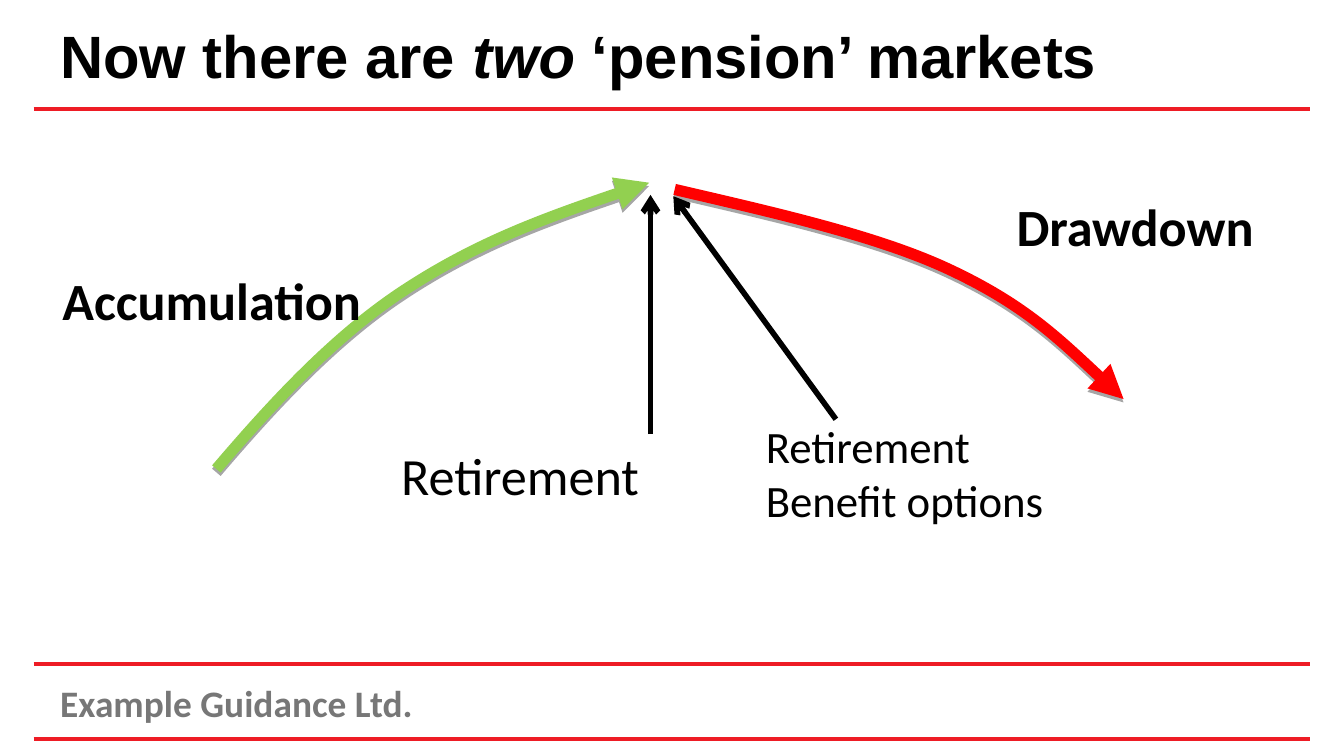
from lxml.etree import SubElement as Sub
from pptx import Presentation
from pptx.dml.color import RGBColor
from pptx.enum.shapes import MSO_CONNECTOR as Conn
from pptx.enum.text import MSO_ANCHOR as Anchor, PP_ALIGN as Align
from pptx.oxml.ns import qn
from pptx.util import Inches, Pt

WIDE = 10
HIGH = WIDE * 9 / 16
EDGE = 0.25
RED, BLACK, GREY = "EE1C25", "000000", "777777"


def paint(code):
    return RGBColor.from_string(code)


def style(line, color, width, head=None):
    line.color.rgb = paint(color)
    line.width = Pt(width)
    if head:
        Sub(line._get_or_add_ln(), qn("a:tailEnd"), type=head)


def rule(slide, start, end, color, width, head=None):
    link = slide.shapes.add_connector(
        Conn.STRAIGHT, *[Inches(v) for v in (*start, *end)])
    style(link.line, color, width, head)
    Sub(link._element.spPr, qn("a:effectLst"))


def label(slide, box, rows, size, font="Calibri", color=BLACK, bold=False,
          align=Align.LEFT, anchor=Anchor.TOP, wrap=True):
    """Each row is a list of (text, italic) runs."""
    frame = slide.shapes.add_textbox(*[Inches(v) for v in box]).text_frame
    frame.word_wrap = wrap
    frame.vertical_anchor = anchor
    for i, row in enumerate(rows):
        para = frame.paragraphs[0] if i == 0 else frame.add_paragraph()
        para.alignment = align
        para.font.name, para.font.size = font, Pt(size)
        para.font.bold, para.font.color.rgb = bold, paint(color)
        for text, slant in row:
            run = para.add_run()
            run.text = text
            if slant:
                run.font.italic = True


def curve(slide, box, points, color):
    """Draw joined cubic curves; points are shares of the box."""
    left, top, width, height = box
    spots = [(Inches(left + x * width), Inches(top + y * height))
             for x, y in points]
    build = slide.shapes.build_freeform(*spots[0])
    build.add_line_segments(spots[1:], close=False)
    shape = build.convert_to_shape()
    shape.fill.background()
    style(shape.line, color, 6, "triangle")

    # Every three line points become one cubic segment
    props = shape._element.spPr
    track = next(props.iter(qn("a:path")))
    steps = track.findall(qn("a:lnTo"))
    for i in range(0, len(steps), 3):
        cubic = Sub(track, qn("a:cubicBezTo"))
        for step in steps[i:i + 3]:
            cubic.append(step[0])
            track.remove(step)

    # Soft drop below the arc
    shade = Sub(Sub(props, qn("a:effectLst")), qn("a:outerShdw"), blurRad="0",
                dist=str(Pt(1.8)), dir="5400000", rotWithShape="0")
    Sub(Sub(shade, qn("a:srgbClr"), val=BLACK), qn("a:alpha"), val="35000")


def header(slide, box):
    left, top, width, height = box
    label(slide, (left + 0.1, top + 0.12, width - 0.5, 0.57),
          [[("Now there are ", False), ("two", True),
            (" ‘pension’ markets", False)]],
          32, "Arial", bold=True, anchor=Anchor.MIDDLE)
    rule(slide, (left, top + height), (left + width, top + height), RED, 2)


def footer(slide, box):
    left, top, width, height = box
    for y in (top, top + height):
        rule(slide, (left, y), (left + width, y), RED, 2)
    label(slide, (left + 0.1, top + 0.07, 2.93, 0.44),
          [[("Example Guidance Ltd.", False)]], 20,
          color=GREY, bold=True, wrap=False)


def market(slide, box, arc, points, color, name, spot):
    """One named arc; arc and spot are offsets in the box."""
    left, top = box
    curve(slide, (left + arc[0], top + arc[1], *arc[2:]), points, color)
    label(slide, (left + spot[0], top + spot[1], 3.11, 0.57),
          [[(name, False)]], 28, bold=True, align=Align.CENTER)


def notes(slide, box):
    """Captions with arrows up to the meeting point of the arcs."""
    left, top = box
    label(slide, (left, top + 1.8, 2.64, 0.57),
          [[("Retirement", False)]], 28, align=Align.CENTER)
    label(slide, (left + 3.05, top + 1.62, 2.64, 0.9),
          [[("Retirement", False)], [("Benefit options", False)]], 24)
    for tail, tip in (((2.29, 1.78), (2.29, 0)), ((3.67, 1.67), (2.46, 0.01))):
        rule(slide, (left + tail[0], top + tail[1]),
             (left + tip[0], top + tip[1]), BLACK, 3, "arrow")


def main():
    deck = Presentation()
    deck.slide_width, deck.slide_height = Inches(WIDE), Inches(HIGH)
    slide = deck.slides.add_slide(deck.slide_layouts[6])
    span = WIDE - 2 * EDGE

    footer(slide, (EDGE, 4.94, span, 0.56))
    header(slide, (EDGE, 0, span, 0.81))
    rise = [(0, 1), (0.13, 0.77), (0.27, 0.54), (0.43, 0.38),
            (0.6, 0.21), (0.8, 0.1), (1, 0)]
    fall = [(0, 0), (0.22, 0.11), (0.45, 0.22), (0.61, 0.38),
            (0.78, 0.55), (0.89, 0.78), (1, 1)]
    market(slide, (0, 1.36), (1.61, 0, 3.22, 2.13), rise,
           "92D050", "Accumulation", (0.02, 0.59))
    market(slide, (5, 1.36), (0.02, 0.05, 3.34, 1.56), fall,
           "FF0000", "Drawdown", (1.89, 0.04))
    notes(slide, (2.55, 1.45))
    deck.save("out.pptx")


if __name__ == "__main__":
    main()
